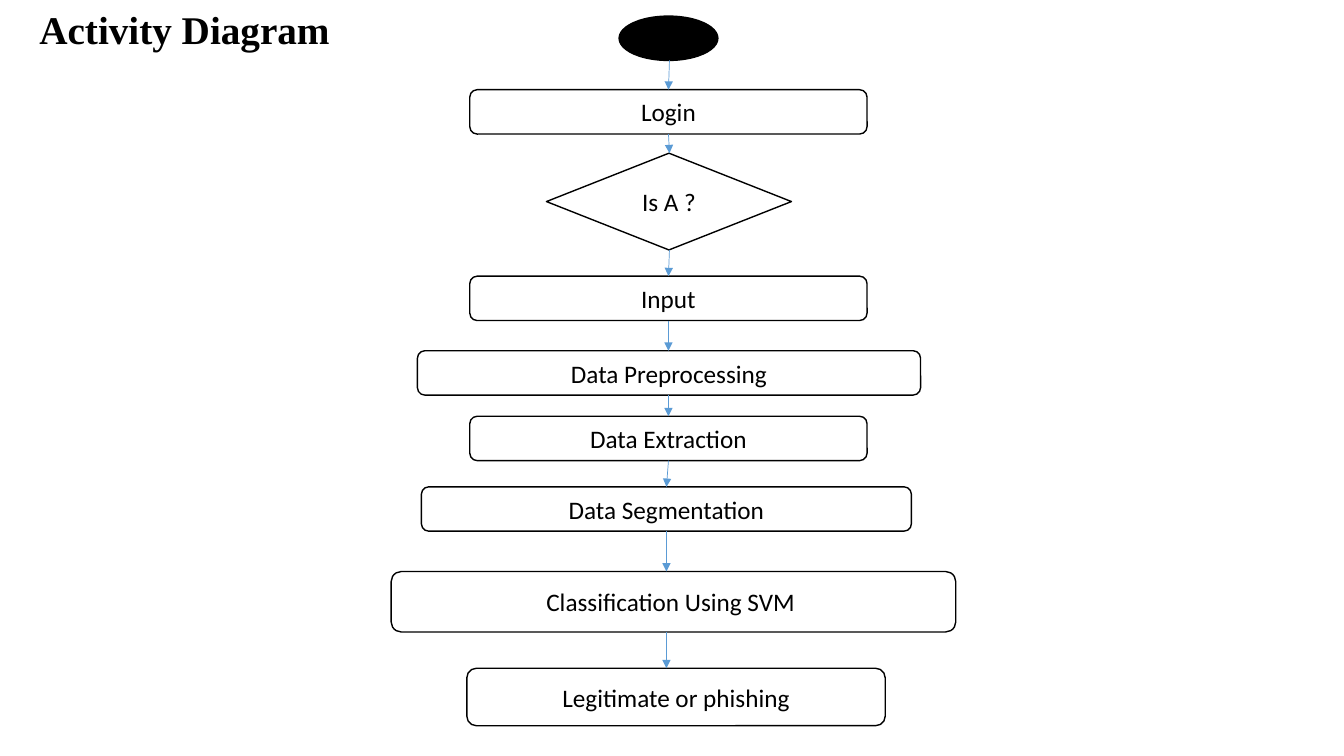
from itertools import pairwise

from lxml.etree import SubElement
from pptx import Presentation
from pptx.dml.color import RGBColor
from pptx.enum.shapes import MSO_CONNECTOR, MSO_SHAPE
from pptx.enum.text import MSO_ANCHOR, PP_ALIGN
from pptx.oxml.ns import qn
from pptx.util import Inches, Pt

TITLE = "Activity Diagram"
COLOURS = {"ink": "000000", "paper": "FFFFFF", "arrow": "5B9BD5"}
BOX = MSO_SHAPE.ROUNDED_RECTANGLE

# kind, text, left, top, width, height, arrow x
STEPS = [
    (MSO_SHAPE.OVAL, "", 6.14, 0.16, 0.98, 0.44, 6.64),
    (BOX, "Login", 4.66, 0.89, 3.94, 0.44, 6.63),
    (MSO_SHAPE.DIAMOND, "Is A ?", 5.42, 1.52, 2.43, 0.96, 6.64),
    (BOX, "Input", 4.66, 2.74, 3.94, 0.44, 6.63),
    (BOX, "Data Preprocessing", 4.14, 3.48, 4.99, 0.44, 6.63),
    (BOX, "Data Extraction", 4.66, 4.13, 3.94, 0.44, 6.63),
    (BOX, "Data Segmentation", 4.18, 4.83, 4.86, 0.44, 6.61),
    (BOX, "Classification Using SVM ", 3.88, 5.67, 5.6, 0.6, 6.61),
    (BOX, "Legitimate or phishing", 4.63, 6.63, 4.15, 0.57, 6.61),
]


def colour(name):
    return RGBColor.from_string(COLOURS[name])


def format_text(shape, text, font_name, size, alignment, anchor, bold=False):
    frame = shape.text_frame
    frame.word_wrap = True
    frame.vertical_anchor = anchor
    paragraph = frame.paragraphs[0]
    paragraph.text = text
    paragraph.alignment = alignment
    paragraph.font.name = font_name
    paragraph.font.size = Pt(size)
    paragraph.font.bold = bold
    paragraph.font.color.rgb = colour("ink")


def add_step(slide, kind, text, left, top, width, height):
    shape = slide.shapes.add_shape(
        kind, Inches(left), Inches(top), Inches(width), Inches(height)
    )
    shape.shadow.inherit = False
    shape.fill.solid()
    shape.fill.fore_color.rgb = colour("paper" if text else "ink")
    shape.line.color.rgb = colour("ink")
    shape.line.width = Pt(1)
    if text:
        format_text(shape, text, "Calibri", 18, PP_ALIGN.CENTER, MSO_ANCHOR.MIDDLE)


def add_arrow(slide, start_x, start_y, end_x, end_y):
    connector = slide.shapes.add_connector(
        MSO_CONNECTOR.STRAIGHT,
        Inches(start_x), Inches(start_y), Inches(end_x), Inches(end_y),
    )
    connector.line.color.rgb = colour("arrow")
    connector.line.width = Pt(0.5)
    SubElement(connector.line._get_or_add_ln(), qn("a:tailEnd"), type="triangle")
    SubElement(connector._element.spPr, qn("a:effectLst"))


presentation = Presentation()
presentation.slide_width = Inches(13.33)
presentation.slide_height = Inches(7.5)
slide = presentation.slides.add_slide(presentation.slide_layouts[5])

title = slide.shapes.title
title.left, title.top = Inches(0.29), Inches(0)
title.width, title.height = Inches(3.58), Inches(0.57)
format_text(
    title, TITLE, "Times New Roman", 28, PP_ALIGN.LEFT, MSO_ANCHOR.TOP, bold=True
)

for *step, arrow_x in STEPS:
    add_step(slide, *step)

for upper, lower in pairwise(STEPS):
    _, _, _, upper_top, _, upper_height, upper_x = upper
    _, _, _, lower_top, _, _, lower_x = lower
    add_arrow(slide, upper_x, upper_top + upper_height, lower_x, lower_top)

presentation.save("out.pptx")
